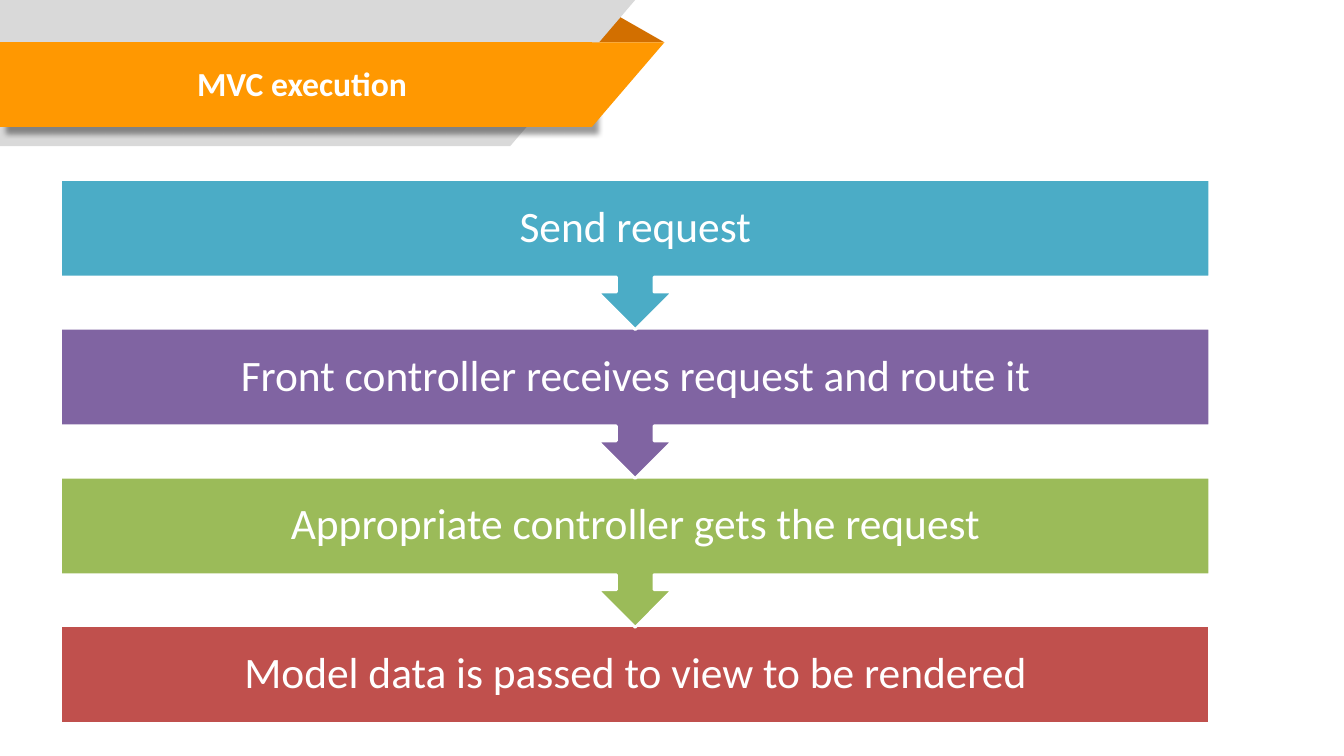
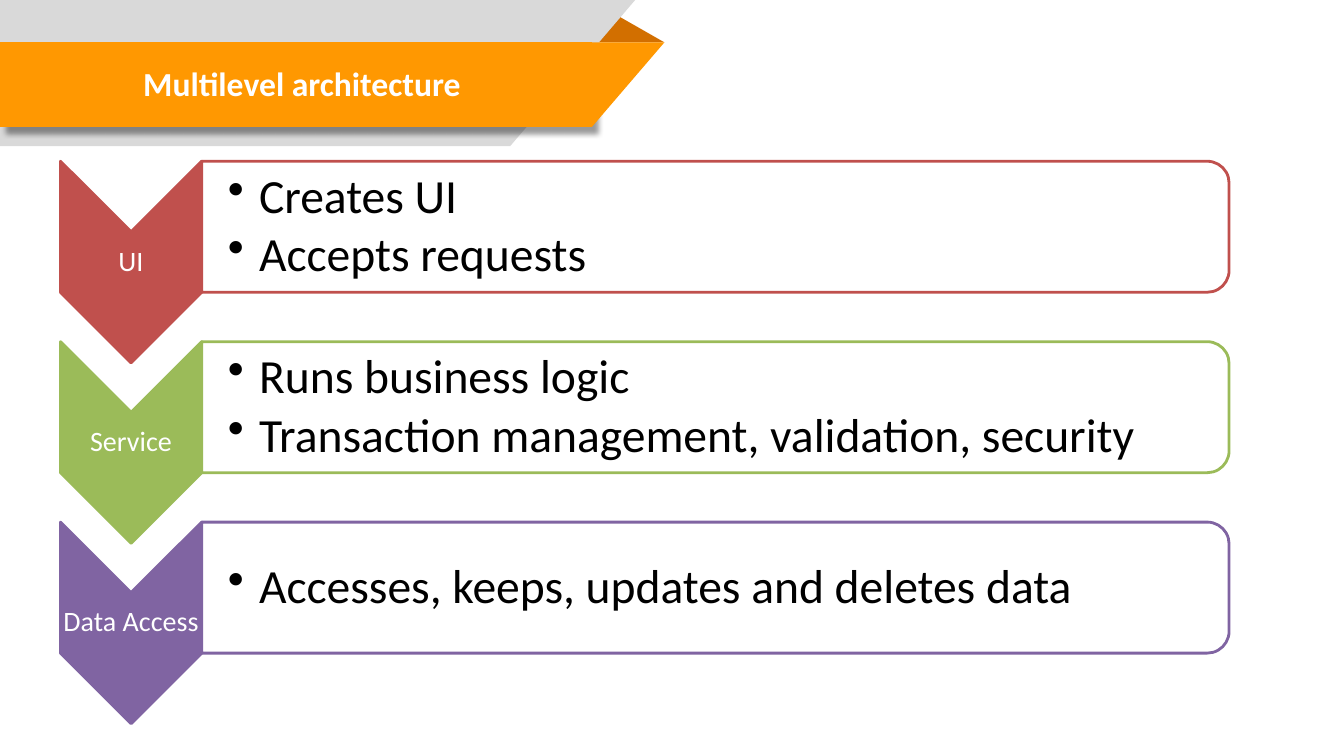
from dataclasses import dataclass

from lxml.etree import SubElement
from pptx import Presentation
from pptx.dml.color import RGBColor
from pptx.enum.shapes import MSO_SHAPE as Preset
from pptx.enum.text import MSO_ANCHOR as Anchor, PP_ALIGN as Align
from pptx.oxml import parse_xml
from pptx.oxml.ns import nsdecls, qn
from pptx.util import Inches, Pt


@dataclass(frozen=True)
class Theme:
    font: str = "Calibri"
    white: str = "FFFFFF"
    black: str = "000000"
    gray: str = "D9D9D9"
    orange: str = "FF9801"
    fold: str = "D26F00"
    red: str = "C0504D"
    green: str = "9BBB59"
    purple: str = "8064A2"
    blue: str = "4BACC6"
    title_size: int = 24
    step_size: int = 31
    level_size: int = 20
    detail_size: int = 34
    outline: int = 2


theme = Theme()


def paint(shape, fill, line=None):
    shape.shadow.inherit = False
    shape.fill.solid()
    shape.fill.fore_color.rgb = RGBColor.from_string(fill)
    if line:
        shape.line.color.rgb = RGBColor.from_string(line)
        shape.line.width = Pt(theme.outline)
    else:
        shape.line.fill.background()


def write(shape, lines, size, color, inset, left_inset=None, bullet=False, bold=False):
    frame = shape.text_frame
    frame.text = "\n".join(lines)
    frame.word_wrap = True
    frame.vertical_anchor = Anchor.MIDDLE
    frame.margin_top = frame.margin_right = frame.margin_bottom = Inches(inset)
    frame.margin_left = Inches(inset if left_inset is None else left_inset)
    for paragraph in frame.paragraphs:
        paragraph.alignment = Align.LEFT if bullet else Align.CENTER
        if bullet:
            properties = paragraph._p.get_or_add_pPr()
            properties.set("marL", str(Inches(0.31)))
            properties.set("indent", str(Inches(-0.31)))
            SubElement(properties, qn("a:buChar")).set("char", "•")
            paragraph.space_after = Pt(5)
        paragraph.line_spacing = 0.9
        for run in paragraph.runs:
            run.font.name = theme.font
            run.font.size = Pt(size)
            run.font.bold = bold
            run.font.color.rgb = RGBColor.from_string(color)


presentation = Presentation()
presentation.slide_width = Inches(13.33)
presentation.slide_height = Inches(7.5)
title_only = presentation.slide_layouts[5]

slides = []
for title_text in ("MVC execution", "Multilevel architecture"):
    slide = presentation.slides.add_slide(title_only)
    title = slide.shapes.title
    title.left, title.top = Inches(0.13), Inches(0.44)
    title.width, title.height = Inches(5.73), Inches(0.82)
    write(title, [title_text], theme.title_size, theme.white, 0.05, bold=True)
    slides.append(slide)
execution_slide, architecture_slide = slides

banner_parts = [
    (theme.fold, [(5.86, 0.42), (6.1, 0.14), (6.59, 0.42)]),
    (theme.gray, [(0, 0), (6.3, 0), (5.06, 1.45), (0, 1.45)]),
    (theme.orange, [(0, 0.42), (5.87, 0.42), (5.87, 1.26), (0, 1.26)]),
    (theme.orange, [(5.87, 0.42), (6.59, 0.42), (5.87, 1.26)]),
]
banner = []
for color, points in banner_parts:
    corners = [(Inches(x), Inches(y)) for x, y in points]
    builder = execution_slide.shapes.build_freeform(*corners[0], scale=1.0)
    builder.add_line_segments(corners[1:], close=True)
    part = builder.convert_to_shape()
    paint(part, color)
    banner.append(part)

ribbon = banner[2]
effects = ribbon._element.spPr.find(qn("a:effectLst"))
effects.append(parse_xml(
    f'<a:outerShdw {nsdecls("a")} blurRad="{Pt(4)}" dist="{Pt(6)}" dir="2700000" '
    f'algn="tl" rotWithShape="0"><a:srgbClr val="{theme.black}">'
    '<a:alpha val="40000"/></a:srgbClr></a:outerShdw>'
))

layout_tree = title_only.shapes.element
for index, part in enumerate(banner):
    part._element.nvSpPr.cNvPr.set("id", str(100 + index))
    layout_tree.insert(2 + index, part._element)

steps = [
    ("Send request", theme.blue),
    ("Front controller receives request and route it", theme.purple),
    ("Appropriate controller gets the request", theme.green),
    ("Model data is passed to view to be rendered", theme.red),
]
first_top, last_top = 1.78, 6.21
step_pitch = (last_top - first_top) / (len(steps) - 1)
for index, (text, color) in reversed(list(enumerate(steps))):
    is_last = index == len(steps) - 1
    step = execution_slide.shapes.add_shape(
        Preset.RECTANGLE if is_last else Preset.DOWN_ARROW_CALLOUT,
        Inches(0.6), Inches(first_top + index * step_pitch),
        Inches(11.4), Inches(0.97 if is_last else 1.49),
    )
    paint(step, color, theme.white)
    write(step, [text], theme.step_size, theme.white, 0.1)

levels = [
    ("UI", theme.red, ["Creates UI", "Accepts requests"]),
    ("Service", theme.green,
     ["Runs business logic", "Transaction management, validation, security"]),
    ("Data Access", theme.purple, ["Accesses, keeps, updates and deletes data"]),
]
for index, (name, color, details) in enumerate(levels):
    top = 1.6 + index * 1.79
    outlines = [
        (Preset.CHEVRON, 0.6, 1.4, 2, color),
        (Preset.ROUND_2_SAME_RECTANGLE, 2, 10.19, 1.3, theme.white),
    ]
    for preset, left, width, height, fill in outlines:
        offset = (width - height) / 2
        shape = architecture_slide.shapes.add_shape(
            preset, Inches(left + offset), Inches(top - offset),
            Inches(height), Inches(width),
        )
        shape.rotation = 90
        paint(shape, fill, color)

    label = architecture_slide.shapes.add_textbox(
        Inches(0.6), Inches(top + 0.7), Inches(1.4), Inches(0.6))
    write(label, [name], theme.level_size, theme.white, 0.01)
    description = architecture_slide.shapes.add_textbox(
        Inches(2), Inches(top + 0.07), Inches(10.13), Inches(1.17))
    write(description, details, theme.detail_size, theme.black, 0.02,
          left_inset=0.26, bullet=True)

presentation.save("out.pptx")
